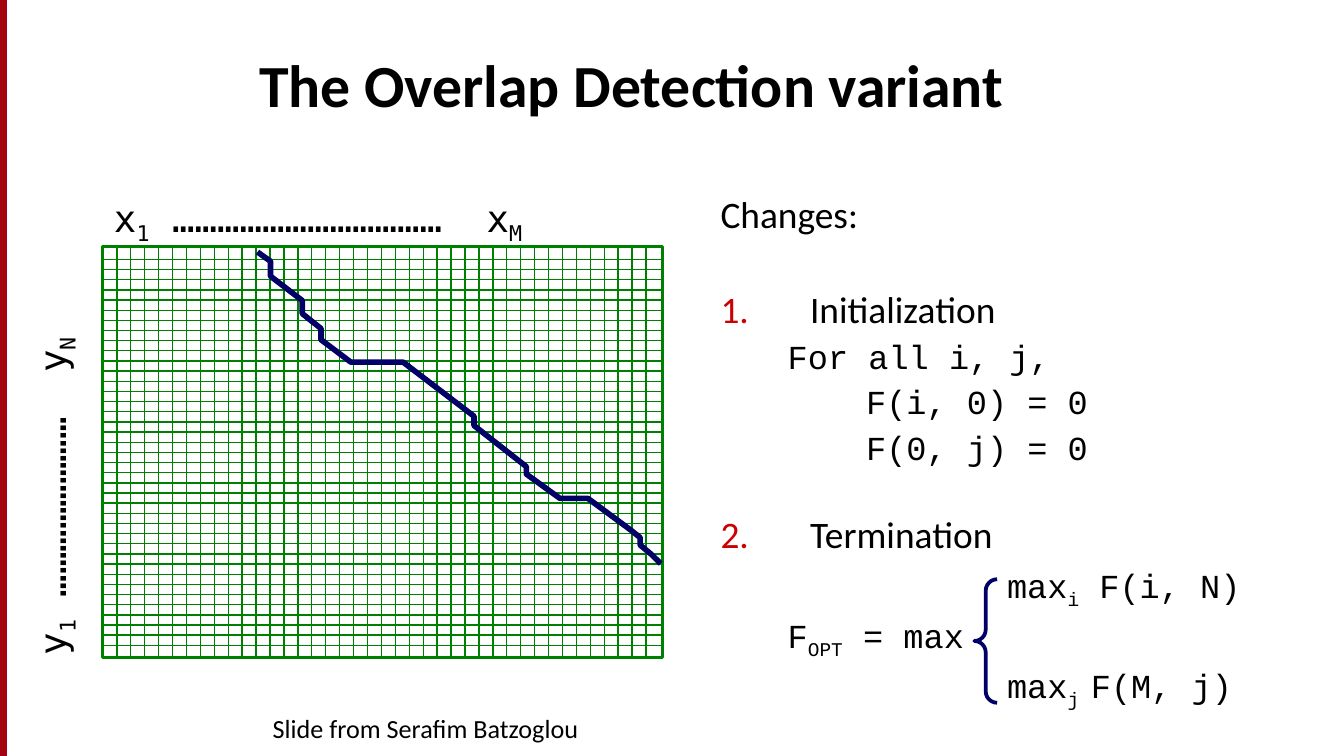
from lxml.etree import SubElement
from pptx import Presentation
from pptx.dml.color import RGBColor
from pptx.enum.shapes import MSO_CONNECTOR, MSO_SHAPE
from pptx.enum.text import MSO_ANCHOR, PP_ALIGN
from pptx.oxml.ns import qn
from pptx.util import Pt

COLOURS = {"text": "000000", "bar": "A40508", "bar_edge": "A4001D",
           "number": "CC0000", "grid": "008000", "path": "000066"}
BODY, CODE, AXIS = "Calibri", "Courier New", "DejaVu Sans Mono"


def colour(name):
    return RGBColor.from_string(COLOURS[name])


class Painter:
    def __init__(self, page):
        self.page = page

    def outline(self, item, name, weight):
        item.line.color.rgb = colour(name)
        item.line.width = Pt(weight)

    def shape(self, kind, bounds, line, weight, fill=None):
        item = self.page.shapes.add_shape(kind, *map(Pt, bounds))
        self.finish(item, line, weight, fill)
        return item

    def finish(self, item, line, weight, fill=None):
        item.shadow.inherit = False
        if fill:
            item.fill.solid()
            item.fill.fore_color.rgb = colour(fill)
        else:
            item.fill.background()
        self.outline(item, line, weight)

    def line(self, start, end, name, weight):
        item = self.page.shapes.add_connector(
            MSO_CONNECTOR.STRAIGHT, *map(Pt, (*start, *end)))
        self.outline(item, name, weight)
        SubElement(item._element.spPr, qn("a:effectLst"))

    def polyline(self, points, name, weight):
        builder = self.page.shapes.build_freeform(*points[0], scale=Pt(1))
        builder.add_line_segments(points[1:], close=False)
        self.finish(builder.convert_to_shape(), name, weight)

    def text_box(self, bounds, anchor=MSO_ANCHOR.TOP, rotation=0):
        box = self.page.shapes.add_textbox(*map(Pt, bounds))
        box.rotation = rotation
        box.text_frame.word_wrap = True
        box.text_frame.vertical_anchor = anchor
        return box.text_frame

    def set_text(self, para, parts, font, size, bold=False):
        for index, part in enumerate(parts):
            span = para.add_run()
            span.text = part
            if index % 2:
                span._r.get_or_add_rPr().set("baseline", "-25000")
        para.font.name = font
        para.font.size = Pt(size)
        para.font.bold = bold
        para.font.color.rgb = colour("text")

    def item(self, para, parts, font, size, before, left=0, number=None):
        para.line_spacing = 0.9
        para.space_before = Pt(before)
        properties = para._p.get_or_add_pPr()
        properties.set("marL", str(Pt(left)))
        properties.set("indent", str(-Pt(left) if number else 0))
        if number:
            tint = SubElement(properties, qn("a:buClr"))
            SubElement(tint, qn("a:srgbClr"), val=COLOURS["number"])
            SubElement(properties, qn("a:buFont"), typeface=BODY)
            SubElement(properties, qn("a:buAutoNum"),
                       type="arabicPeriod", startAt=str(number))
        self.set_text(para, parts, font, size)

    def axis(self, bounds, letter, last, dots, rotation=0):
        para = self.text_box(bounds, rotation=rotation).paragraphs[0]
        tabs = SubElement(para._p.get_or_add_pPr(), qn("a:tabLst"))
        SubElement(tabs, qn("a:tab"), algn="l",
                   pos=str(Pt(12.04 * (dots + 4) + 7)))
        self.set_text(para, [letter, "1", f" {'…' * dots}\t{letter}", last], AXIS, 20)


def main():
    deck = Presentation()
    deck.slide_width, deck.slide_height = Pt(720), Pt(405)
    painter = Painter(deck.slides.add_slide(deck.slide_layouts[6]))

    painter.shape(MSO_SHAPE.RECTANGLE, (0, 0, 3.6, 405), "bar_edge", 0.75, "bar")
    title = painter.text_box((131.8, 0, 588, 67.7), MSO_ANCHOR.BOTTOM)
    painter.set_text(title.paragraphs[0], ["The Overlap Detection variant"], BODY, 32, True)

    changes = [
        (["Changes:"], BODY, 20, 0),
        (["Initialization"], BODY, 20, 29.4, 48, 1),
        (["For all i, j,"], CODE, 18, 4.8, 36),
        (["F(i, 0) = 0"], CODE, 18, 4.8, 78),
        (["F(0, j) = 0"], CODE, 18, 4.8, 78),
        (["Termination"], BODY, 20, 26, 48, 2),
        (["max", "i", " F(i, N)"], CODE, 18, 4.8, 153.5),
        (["F", "OPT", " = max"], CODE, 18, 4.8, 36),
        (["max", "j ", "F(M, j)"], CODE, 18, 4.8, 153.5),
    ]
    body = painter.text_box((378.9, 101.5, 317, 290))
    for index, change in enumerate(changes):
        para = body.add_paragraph() if index else body.paragraphs[0]
        painter.item(para, *change)

    credit = painter.text_box((114, 378, 228, 27)).paragraphs[0]
    credit.alignment = PP_ALIGN.CENTER
    painter.set_text(credit, ["Slide from Serafim Batzoglou"], BODY, 14)

    left, top, width, height = grid = (54.9, 131.9, 300.2, 220.2)
    painter.shape(MSO_SHAPE.RECTANGLE, grid, "grid", 1.5)
    for index in range(39):
        x, y = 62.6 + 7.46 * index, 139 + 5.44 * index
        painter.line((left, y), (left + width, y), "grid", 0.75)
        painter.line((x, top), (x, top + height), "grid", 0.75)

    painter.polyline([
        (354.2, 301.7), (349.2, 296.6), (343.4, 292.3), (342.7, 288),
        (337.7, 284.4), (314.6, 267.1), (299.5, 267.1), (282.2, 254.2),
        (282.2, 249.8), (254.2, 228.2), (254.2, 223.2), (216, 194.4),
        (187.9, 194.4), (172.1, 182.2), (172.1, 176.4), (162, 168.5),
        (162, 161.3), (144.7, 148.3), (144.7, 140.4), (138.2, 135.4),
    ], "path", 3)

    painter.axis((54, 100.8, 312.5, 31.7), "x", "M", 12)
    painter.axis((-87.8, 226.8, 231.1, 31.7), "y", "N", 8, 270)

    brace = painter.shape(MSO_SHAPE.LEFT_BRACE, (522, 310.3, 12.2, 66.2), "path", 2)
    brace.adjustments[0] = 0.5
    brace.adjustments[1] = 0.5
    deck.save("out.pptx")


if __name__ == "__main__":
    main()
